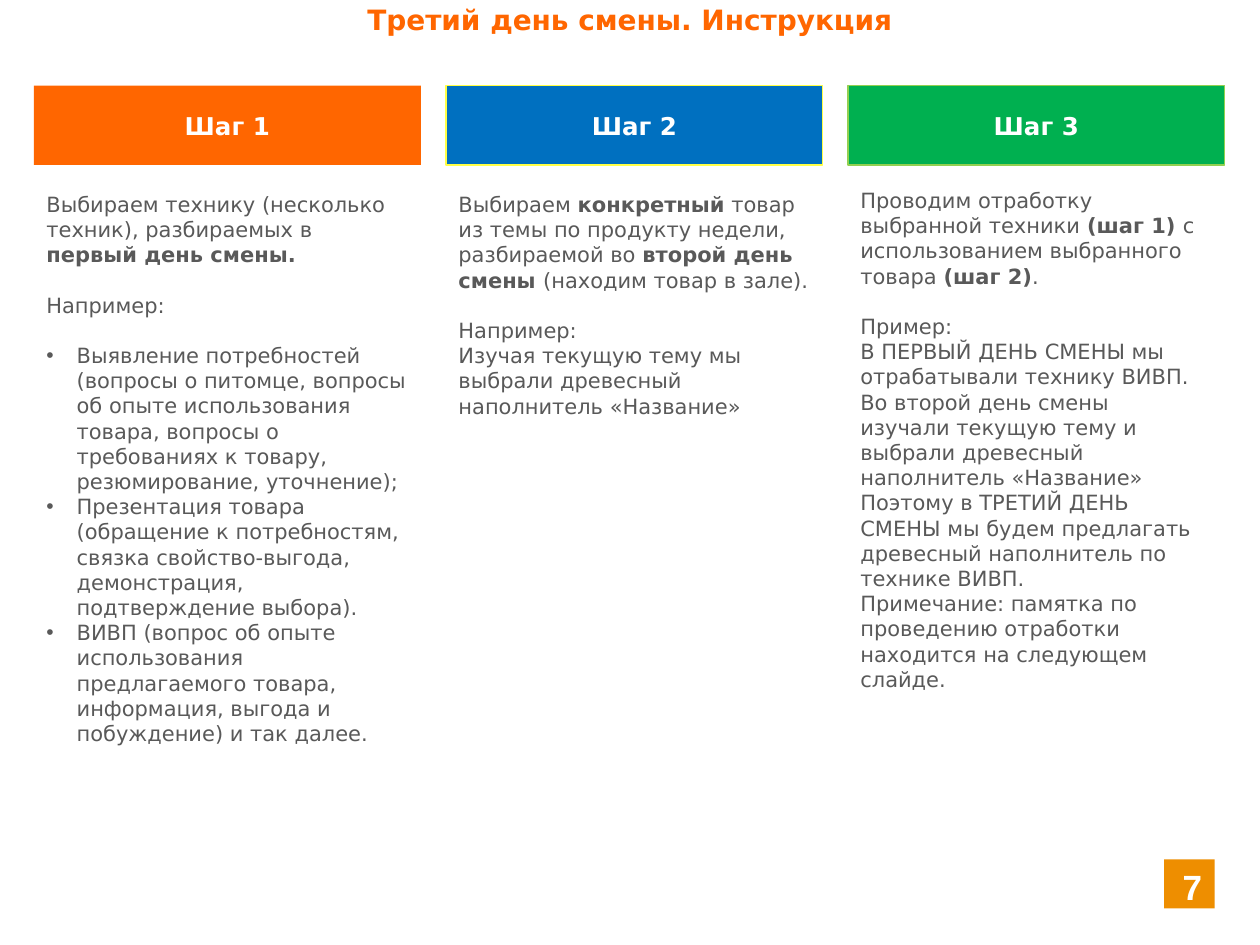
import pptx
import pptx.dml.color
import pptx.enum.shapes
import pptx.enum.text
import pptx.util
from lxml import etree

Inches = pptx.util.Inches
Pt = pptx.util.Pt
ALIGN = pptx.enum.text.PP_ALIGN
ANCHOR = pptx.enum.text.MSO_ANCHOR


def rgb(value):
    return pptx.dml.color.RGBColor.from_string(value)


class StepSlide:
    """Holds the style and the current slide, and adds each kind of element."""

    font = "DejaVu Sans"
    accent = "FF6600"
    body = "595959"
    white = "FFFFFF"
    gap = 14.4
    indent = Inches(0.24)

    def __init__(self, prs):
        self.s = prs.slides.add_slide(prs.slide_layouts[5])

    def style(self, p, size, color, bold=True, font=None):
        for r in p.runs:
            r.font.name = font or self.font
            r.font.size = Pt(size)
            r.font.bold = bold
            r.font.color.rgb = rgb(color)

    def title(self, text, x, y, w, h):
        sp = self.s.shapes.title
        sp.left, sp.top, sp.width, sp.height = map(Inches, (x, y, w, h))
        tf = sp.text_frame
        tf.text = text
        tf.vertical_anchor = ANCHOR.TOP
        tf.auto_size = pptx.enum.text.MSO_AUTO_SIZE.SHAPE_TO_FIT_TEXT
        p = tf.paragraphs[0]
        p.alignment = ALIGN.CENTER
        self.style(p, 16, self.accent)

    def box(self, text, x, y, w, h, fill, line=None, size=14, font=None,
            align=ALIGN.CENTER, anchor=ANCHOR.MIDDLE):
        sp = self.s.shapes.add_shape(
            pptx.enum.shapes.MSO_SHAPE.RECTANGLE, *map(Inches, (x, y, w, h)))
        sp.shadow.inherit = False
        sp.fill.solid()
        sp.fill.fore_color.rgb = rgb(fill)
        if line:
            sp.line.color.rgb = rgb(line)
            sp.line.width = Pt(0.75)
        else:
            sp.line.fill.background()
        tf = sp.text_frame
        tf.text = text
        tf.vertical_anchor = anchor
        p = tf.paragraphs[0]
        p.alignment = align
        self.style(p, size, self.white, font=font)

    def bullet(self, p):
        pPr = p._p.get_or_add_pPr()
        pPr.set("marL", str(self.indent))
        pPr.set("indent", str(-self.indent))
        ns = pptx.oxml.ns.qn
        etree.SubElement(pPr, ns("a:buFont"), typeface="Arial")
        etree.SubElement(pPr, ns("a:buChar"), char="•")

    def text(self, paragraphs, x, y, w, h):
        """Writes paragraphs of (text, kind); ** marks bold, kind is gap or bullet."""
        tf = self.s.shapes.add_textbox(*map(Inches, (x, y, w, h))).text_frame
        tf.word_wrap = True
        for i, (text, *kinds) in enumerate(paragraphs):
            p = tf.add_paragraph() if i else tf.paragraphs[0]
            if "gap" in kinds:
                p.space_before = Pt(self.gap)
            if "bullet" in kinds:
                self.bullet(p)
            for j, part in enumerate(text.split("**")):
                if part:
                    p.add_run().text = part
                    p.runs[-1].font.bold = j % 2 == 1
            for r in p.runs:
                r.font.name = self.font
                r.font.size = Pt(12)
                r.font.color.rgb = rgb(self.body)


STEPS = [
    (0.27, 3.07, "FF6600", None, (1.47, 3.07, 4.96), [
        ("Выбираем технику (несколько техник), разбираемых в **первый день смены.**",),
        ("Например:", "gap"),
        ("Выявление потребностей (вопросы о питомце, вопросы об опыте использования "
         "товара, вопросы о требованиях к товару, резюмирование, уточнение);",
         "gap", "bullet"),
        ("Презентация товара (обращение к потребностям, связка свойство-выгода, "
         "демонстрация, подтверждение выбора).", "bullet"),
        ("ВИВП (вопрос об опыте использования предлагаемого товара, информация, "
         "выгода и побуждение) и так далее.", "bullet"),
    ]),
    (3.54, 2.99, "0070C0", "FFFF47", (1.47, 2.99, 2.99), [
        ("Выбираем **конкретный** товар из темы по продукту недели, разбираемой во "
         "**второй день смены **(находим товар в зале).",),
        ("Например:", "gap"),
        ("Изучая текущую тему мы выбрали древесный наполнитель «Название»",),
    ]),
    (6.73, 2.99, "00B050", "92D050", (1.44, 2.91, 4.96), [
        ("Проводим отработку выбранной техники **(шаг 1) **с использованием "
         "выбранного товара **(шаг 2)**.",),
        ("Пример:", "gap"),
        ("В ПЕРВЫЙ ДЕНЬ СМЕНЫ мы отрабатывали технику ВИВП. Во второй день смены "
         "изучали текущую тему и выбрали древесный наполнитель «Название»",),
        ("Поэтому в ТРЕТИЙ ДЕНЬ СМЕНЫ мы будем предлагать древесный наполнитель "
         "по технике ВИВП.",),
        ("Примечание: памятка по проведению отработки находится на следующем слайде.",),
    ]),
]


def main():
    prs = pptx.Presentation()
    prs.slide_width, prs.slide_height = Inches(10), Inches(7.5)
    slide = StepSlide(prs)
    slide.title("Третий день смены. Инструкция", 0, -0.03, 10, 0.37)
    for n, (x, width, fill, line, (y, w, h), paragraphs) in enumerate(STEPS, 1):
        slide.box(f"Шаг {n}", x, 0.68, width, 0.63, fill, line)
        slide.text(paragraphs, x, y, w, h)
    slide.box("7", 9.24, 6.82, 0.4, 0.39, "EE8E00", size=20, font="Arial",
              align=ALIGN.RIGHT, anchor=ANCHOR.TOP)
    prs.save("out.pptx")


if __name__ == "__main__":
    main()
